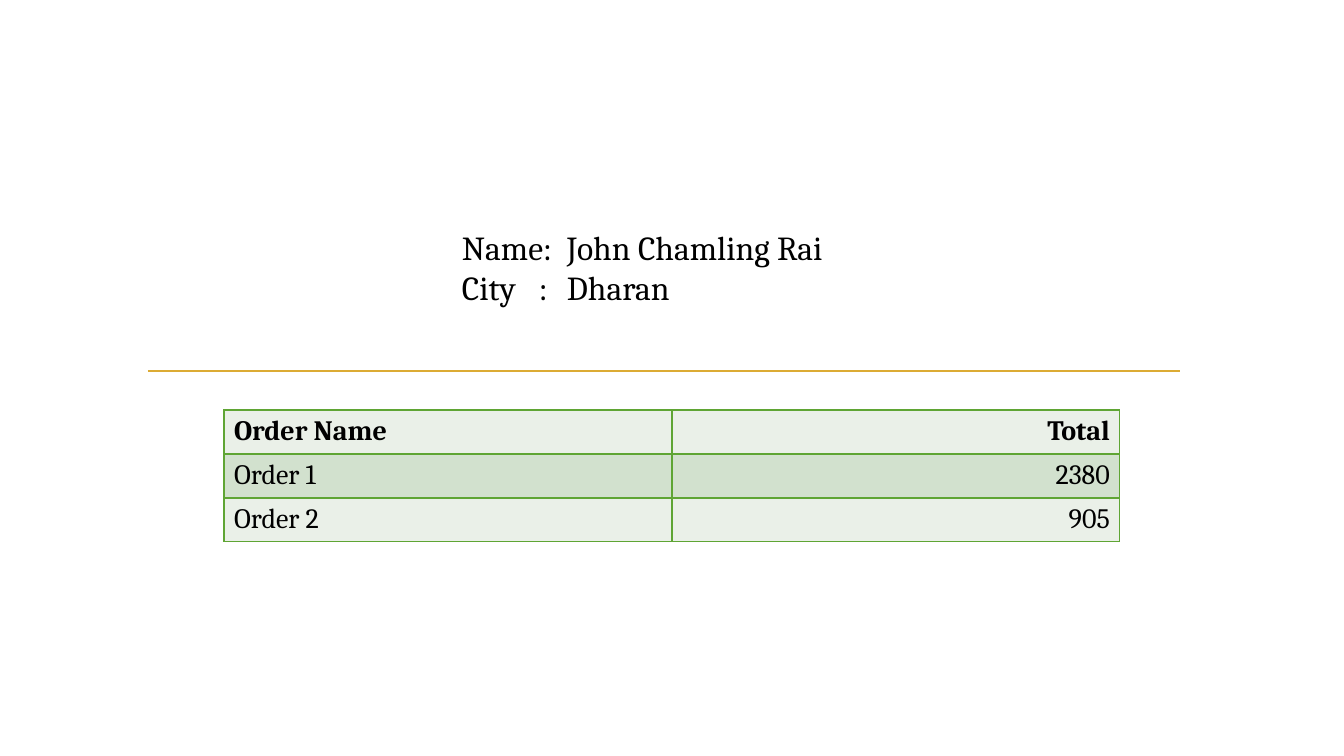
from lxml import etree
from pptx import Presentation
from pptx.dml.color import RGBColor
from pptx.enum.shapes import MSO_CONNECTOR as CONN
from pptx.enum.text import MSO_ANCHOR as ANCHOR, PP_ALIGN as ALIGN
from pptx.oxml.ns import qn
from pptx.util import Pt

COLORS = {"text": "000000", "rule": "DCAB34", "border": "5FA534",
          "light": "EAF0E8", "dark": "D2E1CE"}
FONT = "Cambria"


def px(n):
    return round(n * 914400 / 100.8)


def set_font(p, size, bold=False):
    values = {"name": FONT, "size": Pt(size), "bold": bold}
    for key, value in values.items():
        setattr(p.font, key, value)
    p.font.color.rgb = RGBColor.from_string(COLORS["text"])


prs = Presentation()
prs.slide_width, prs.slide_height = px(1344), px(756)
s = prs.slides.add_slide(prs.slide_layouts[6])

# Customer details, aligned on tab stops for the colon and the value
tf = s.shapes.add_textbox(px(452), px(222), px(472), px(132)).text_frame
tf.word_wrap = True
details = [("Name:\tJohn Chamling Rai", [105]), ("City\t:\tDharan", [77, 105])]
for i, (text, stops) in enumerate(details):
    p = tf.add_paragraph() if i else tf.paragraphs[0]
    tabs = etree.SubElement(p._p.get_or_add_pPr(), qn("a:tabLst"))
    for stop in stops:
        etree.SubElement(tabs, qn("a:tab"), pos=str(px(stop)), algn="l")
    p.add_run().text = text
    set_font(p, 24)

# Divider
rule = s.shapes.add_connector(CONN.STRAIGHT, px(148), px(371), px(1180), px(371))
rule.line.color.rgb = RGBColor.from_string(COLORS["rule"])
rule.line.width = Pt(1.75)
etree.SubElement(rule._element.spPr, qn("a:effectLst"))

# Orders
orders = [("Order Name", "Total"), ("Order 1", "2380"), ("Order 2", "905")]
table = s.shapes.add_table(len(orders), 2, px(224), px(410), px(896), px(132)).table
for r, order in enumerate(orders):
    for c, text in enumerate(order):
        cell = table.cell(r, c)
        cell.vertical_anchor = ANCHOR.TOP
        tcPr = cell._tc.get_or_add_tcPr()
        for side in ("lnL", "lnR", "lnT", "lnB"):
            ln = etree.SubElement(tcPr, qn("a:" + side), w=str(Pt(1)))
            fill = etree.SubElement(ln, qn("a:solidFill"))
            etree.SubElement(fill, qn("a:srgbClr"), val=COLORS["border"])
        cell.fill.solid()
        shade = "dark" if r % 2 else "light"
        cell.fill.fore_color.rgb = RGBColor.from_string(COLORS[shade])
        p = cell.text_frame.paragraphs[0]
        p.add_run().text = text
        p.alignment = ALIGN.RIGHT if c else ALIGN.LEFT
        set_font(p, 20, bold=r == 0)

prs.save("out.pptx")
